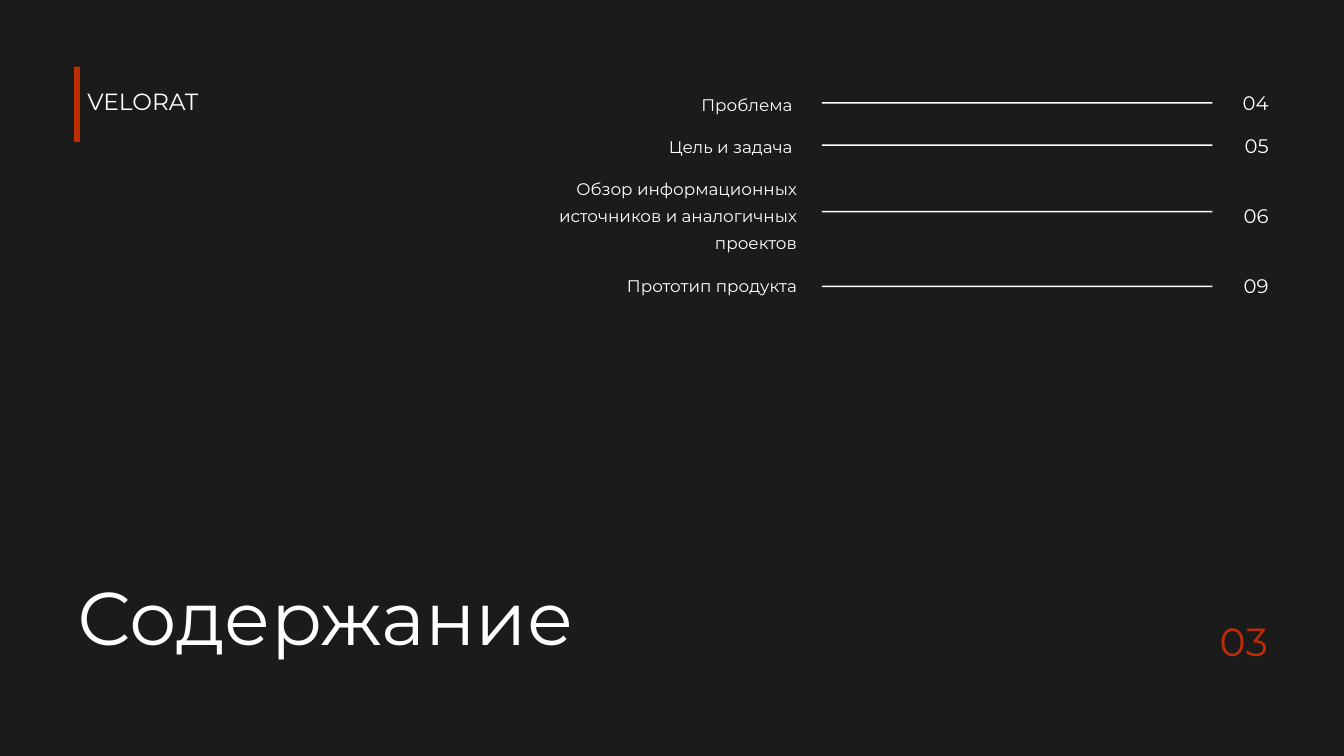
from pptx import Presentation
from pptx.dml.color import RGBColor
from pptx.enum.shapes import MSO_SHAPE
from pptx.enum.text import MSO_ANCHOR, MSO_AUTO_SIZE, PP_ALIGN
from pptx.util import Pt

BACKGROUND = RGBColor(0x1B, 0x1B, 0x1B)
WHITE = RGBColor(0xFF, 0xFF, 0xFF)
ACCENT = RGBColor(0xBF, 0x2D, 0x00)

TITLE_ONLY = 5

# label, page number, then tops of the label, the rule and the number
CONTENTS = [
    ("Проблема ", "04", 93.8, 109.4, 93.6),
    ("Цель и задача ", "05", 139.4, 154.8, 139),
    ("Обзор информационных источников и аналогичных проектов", "06", 184.8, 226.1, 214.4),
    ("Прототип продукта", "09", 288, 306, 289.3),
]


class ContentsPage:
    font = "Montserrat"

    def __init__(self, deck):
        self.page = deck.slides.add_slide(deck.slide_layouts[TITLE_ONLY])
        fill = self.page.background.fill
        fill.solid()
        fill.fore_color.rgb = BACKGROUND

    def style(self, box, text, size, leading, color, align):
        frame = box.text_frame
        frame.text = text
        frame.word_wrap = True
        frame.auto_size = MSO_AUTO_SIZE.NONE
        frame.vertical_anchor = MSO_ANCHOR.TOP
        frame.margin_left = frame.margin_right = 0
        frame.margin_top = frame.margin_bottom = 0
        para = frame.paragraphs[0]
        para.alignment = align
        para.line_spacing = Pt(leading)
        para.space_before = Pt(0)
        span = para.runs[0]
        span.font.name = self.font
        span.font.size = Pt(size)
        span.font.color.rgb = color
        return span

    def title(self, text, left, top, width, height, size, leading):
        box = self.page.shapes.title
        box.left, box.top = Pt(left), Pt(top)
        box.width, box.height = Pt(width), Pt(height)
        self.style(box, text, size, leading, WHITE, PP_ALIGN.LEFT)

    def text(self, text, left, top, width, height, size, leading,
             color=WHITE, align=PP_ALIGN.RIGHT):
        box = self.page.shapes.add_textbox(Pt(left), Pt(top), Pt(width), Pt(height))
        return self.style(box, text, size, leading, color, align)

    def bar(self, left, top, width, height, color):
        box = self.page.shapes.add_shape(
            MSO_SHAPE.RECTANGLE, Pt(left), Pt(top), Pt(width), Pt(height))
        box.shadow.inherit = False
        box.fill.solid()
        box.fill.fore_color.rgb = color
        box.line.fill.background()


def main():
    deck = Presentation()
    deck.slide_width, deck.slide_height = Pt(1440), Pt(810)

    page = ContentsPage(deck)
    page.bar(79.5, 71.5, 6, 80.5, ACCENT)
    page.text("VELORAT", 93.6, 88.2, 147, 35.2, 25.1, 35.2, align=PP_ALIGN.LEFT)
    page.title("Содержание", 82.8, 620, 805, 90, 80, 88)
    number = page.text("03", 1089.4, 653, 269.3, 58.8, 42, 58.8, ACCENT)
    number.font._element.set("spc", "80")

    for label, page_number, label_top, rule_top, number_top in CONTENTS:
        lines = 3 if len(label) > 30 else 1
        page.text(label, 519.8, label_top, 334.1, 28.8 * lines, 18, 28.8)
        page.bar(880.5, rule_top, 418.5, 1.6, WHITE)
        page.text(page_number, 1306.8, number_top, 52.5, 29.4, 21, 29.4)

    deck.save("out.pptx")


if __name__ == "__main__":
    main()
